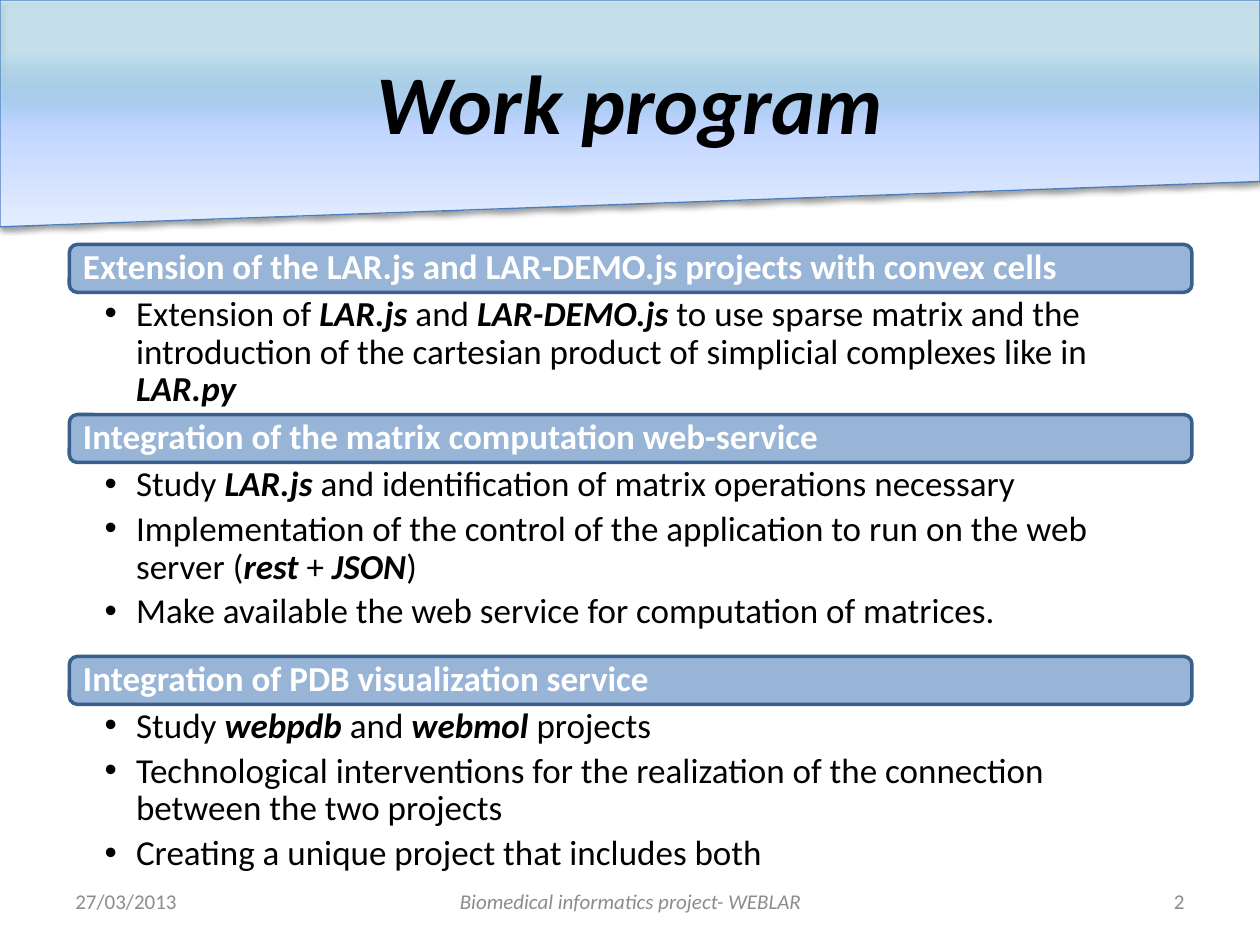
from lxml import etree
from pptx import Presentation
from pptx import util as u
from pptx.dml.color import RGBColor
from pptx.enum import shapes, text
from pptx.oxml import parse_xml
from pptx.oxml.ns import nsdecls, qn

COLS, ROWS = 100, 75
LEFT, WIDTH = 5.5, 89.1
HEAD_H = 3.8
SECTIONS = [
    ("Extension of the LAR.js and LAR-DEMO.js projects with convex cells", 9.7, [
        "Extension of *LAR.js* and *LAR-DEMO.js* to use sparse matrix and the "
        "introduction of the cartesian product of simplicial complexes like in *LAR.py*"]),
    ("Integration of the matrix computation web-service", 15.4, [
        "Study *LAR.js* and identification of matrix operations necessary",
        "Implementation of the control of the application to run on the web server (*rest* + *JSON*)",
        "Make available the web service for computation of matrices."]),
    ("Integration of PDB visualization service", 10.2, [
        "Study *webpdb* and *webmol* projects",
        "Technological interventions for the realization of the connection between the two projects",
        "Creating a unique project that includes both"]),
]
FOOTERS = [
    (5, 23.3, "27/03/2013", "LEFT", False),
    (34.2, 31.7, "Biomedical informatics project- WEBLAR", "CENTER", True),
    (71.7, 23.3, "2", "RIGHT", False),
]


def rgb(value):
    return RGBColor.from_string(value)


def grid(prs, col, row, cols, rows):
    w, h = prs.slide_width / COLS, prs.slide_height / ROWS
    return [u.Emu(round(v)) for v in (col * w, row * h, cols * w, rows * h)]


def move(sp, box):
    sp.left, sp.top, sp.width, sp.height = box


def write(sp, paras, size=20, color="000000", bold=False, italic=False, align="LEFT",
          anchor="MIDDLE", insets=(0.1, 0.05, 0.1, 0.05), spacing=1, after=0, bullet=False):
    tf = sp.text_frame
    tf.word_wrap = True
    tf.auto_size = text.MSO_AUTO_SIZE.NONE
    tf.vertical_anchor = text.MSO_ANCHOR[anchor]
    tf.margin_left, tf.margin_top, tf.margin_right, tf.margin_bottom = map(u.Inches, insets)
    for i, line in enumerate(paras):
        p = tf.paragraphs[0] if i == 0 else tf.add_paragraph()
        p.alignment = text.PP_ALIGN[align]
        p.line_spacing, p.space_before, p.space_after = spacing, u.Pt(0), u.Pt(after)
        if bullet:
            add_bullet(p)
        for n, part in enumerate(line.split("*")):
            if not part:
                continue
            r = p.add_run()
            r.text = part
            f = r.font
            f.name, f.size, f.color.rgb = "Calibri", u.Pt(size), rgb(color)
            f.bold, f.italic = bold or n % 2 == 1, italic or n % 2 == 1


def add_bullet(p):
    pr = p._p.get_or_add_pPr()
    pr.set("marL", str(u.Inches(0.25)))
    pr.set("indent", str(-u.Inches(0.25)))
    etree.SubElement(pr, qn("a:buFont")).set("typeface", "Arial")
    etree.SubElement(pr, qn("a:buChar")).set("char", "•")


def add_box(slide, kind, box, line, width):
    sp = slide.shapes.add_shape(kind, *box)
    sp.shadow.inherit = False
    sp.line.color.rgb, sp.line.width = rgb(line), u.Pt(width)
    return sp


def add_banner(slide, box):
    sp = add_box(slide, shapes.MSO_SHAPE.FLOWCHART_MANUAL_INPUT, box, "4B7EBC", 0.75)
    sp.rotation = 180
    pr = sp._element.spPr
    pr.find(qn("a:prstGeom")).addnext(parse_xml(
        f'<a:gradFill {nsdecls("a")} rotWithShape="1"><a:gsLst>'
        '<a:gs pos="23000"><a:srgbClr val="77D4FD"><a:alpha val="28000"/></a:srgbClr></a:gs>'
        '<a:gs pos="55000"><a:srgbClr val="BFD4FF"/></a:gs>'
        '<a:gs pos="100000"><a:srgbClr val="E6EEFF"/></a:gs>'
        '</a:gsLst><a:lin ang="16200000" scaled="0"/></a:gradFill>'))
    pr.find(qn("a:effectLst")).append(parse_xml(
        f'<a:outerShdw {nsdecls("a")} blurRad="{u.Pt(3.1)}" dist="{u.Pt(1.6)}" dir="5400000" '
        'rotWithShape="0"><a:srgbClr val="000000"><a:alpha val="38000"/></a:srgbClr></a:outerShdw>'))
    return sp


def add_header(prs, slide, row, label):
    sp = add_box(slide, shapes.MSO_SHAPE.ROUNDED_RECTANGLE,
                 grid(prs, LEFT, row, WIDTH, HEAD_H), "3A5F8C", 2)
    sp.fill.solid()
    sp.fill.fore_color.rgb = rgb("4F81BD")
    color = sp._element.spPr.find(qn("a:solidFill"))[0]
    etree.SubElement(color, qn("a:alpha")).set("val", "58000")
    write(sp, [label], color="FFFFFF", bold=True, insets=(0.09, 0.08, 0.09, 0.08), spacing=0.9)


def main():
    prs = Presentation()
    prs.slide_width, prs.slide_height = u.Inches(10), u.Inches(7.5)
    slide = prs.slides.add_slide(prs.slide_layouts[4])
    title, *bodies, spare = slide.placeholders
    spare._element.getparent().remove(spare._element)

    banner = add_banner(slide, grid(prs, 0, 0, COLS, 18))
    title._element.addprevious(banner._element)
    move(title, grid(prs, 0, 0, COLS, 13.9))
    write(title, ["Work program"], size=47.7, bold=True, italic=True, align="CENTER",
          insets=(0.1, 0.27, 0.1, 0.05))

    row = 19.4
    for body, (label, height, items) in zip(bodies, SECTIONS):
        add_header(prs, slide, row, label)
        move(body, grid(prs, LEFT, row + HEAD_H, WIDTH, height))
        write(body, items, anchor="TOP", insets=(0.28, 0.03, 0.16, 0.03),
              spacing=0.9, after=4, bullet=True)
        row += HEAD_H + height

    for col, cols, label, align, italic in FOOTERS:
        sp = slide.shapes.add_textbox(*grid(prs, col, 69.5, cols, 4))
        write(sp, [label], size=12, color="8C8C8C", italic=italic, align=align)
    prs.save("out.pptx")


main()
